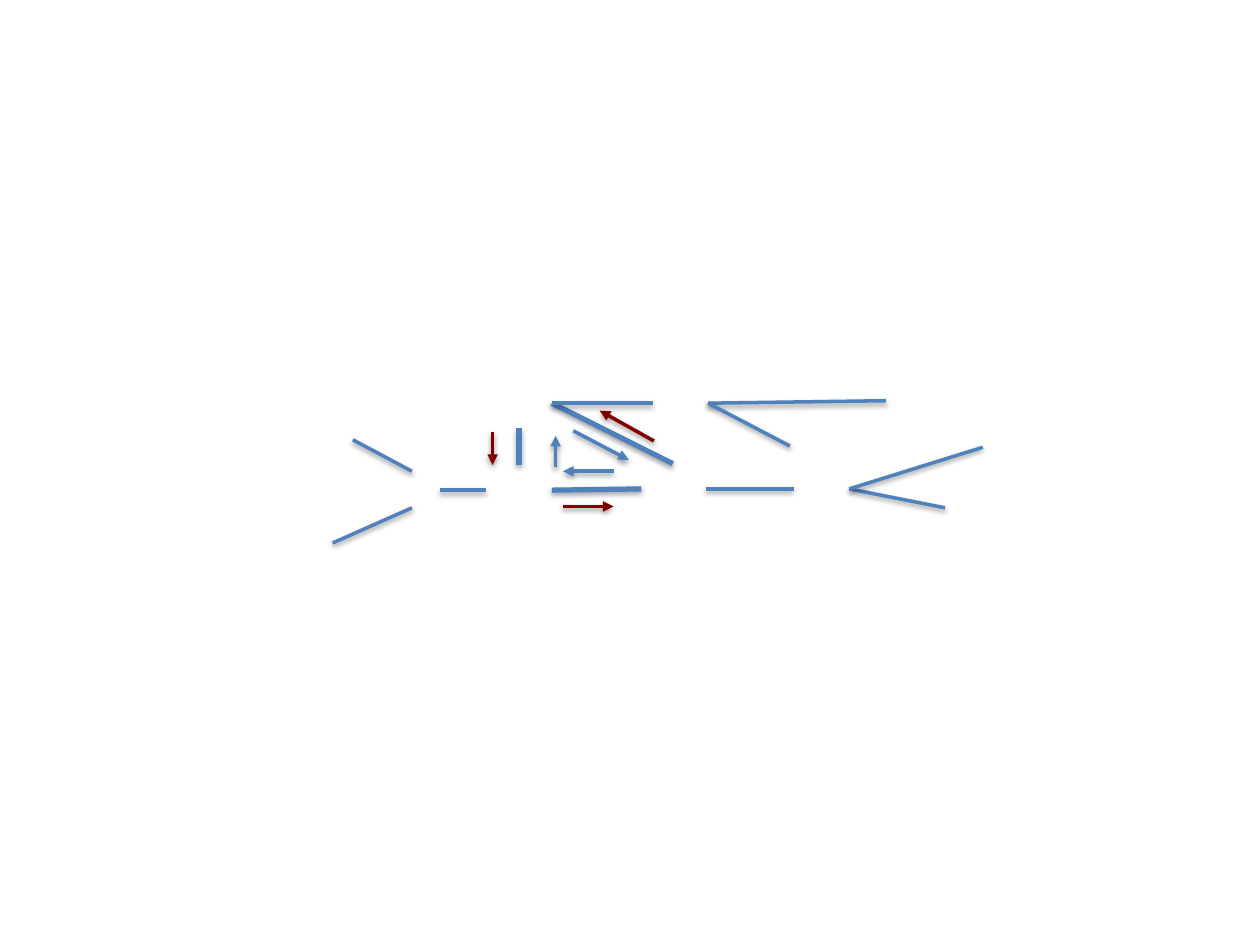
from lxml import etree
from pptx import Presentation
from pptx.dml.color import RGBColor
from pptx.enum import shapes
from pptx.oxml.ns import qn
from pptx.util import Pt

COLOURS = {"bond": "4F81BD", "reverse": "800000", "shadow": "000000"}


def add_shadow(line):
    """Give a connector a soft shadow just below it."""
    effects = etree.SubElement(line._element.spPr, qn("a:effectLst"))
    shadow = etree.SubElement(effects, qn("a:outerShdw"), blurRad=str(Pt(3.1)),
                              dist=str(Pt(1.6)), dir="5400000", rotWithShape="0")
    colour = etree.SubElement(shadow, qn("a:srgbClr"), val=COLOURS["shadow"])
    etree.SubElement(colour, qn("a:alpha"), val="38000")


def draw_lines(slide, origin, segments, colour="bond", width=2, arrow=False):
    """Draw segments (x1, y1, x2, y2), in points from the origin."""
    left, top = origin
    for x1, y1, x2, y2 in segments:
        line = slide.shapes.add_connector(
            shapes.MSO_CONNECTOR.STRAIGHT,
            Pt(left + x1), Pt(top + y1), Pt(left + x2), Pt(top + y2))
        line.line.color.rgb = RGBColor.from_string(COLOURS[colour])
        line.line.width = Pt(width)
        if arrow:
            etree.SubElement(line.line._get_or_add_ln(), qn("a:tailEnd"), type="triangle")
        add_shadow(line)


def lower_branch(slide, origin):
    """Draw the lower right stem and its fork."""
    fork = (82.3, 24.4)
    draw_lines(slide, origin, [(137, 35.2, *fork), (158.6, 0.6, *fork),
                               (50.6, 24.4, 0.2, 24.4)])


def left_branch(slide, origin):
    """Draw the two left arms and the stem that leads to the cycle."""
    draw_lines(slide, origin, [(11.6, 0.3, 45.4, 18.3), (0.1, 59.3, 45.4, 39.2),
                               (61.3, 29.1, 87.9, 29.1)])


def upper_branch(slide, origin):
    """Draw the upper right fork."""
    fork = (0.6, 1.4)
    draw_lines(slide, origin, [(*fork, 102.2, 0), (47.4, 25.9, *fork)])


def cycle(slide, origin):
    """Draw the central cycle with its inner and outer direction arrows."""
    corner = (34.4, 0.4)
    draw_lines(slide, origin, [(85.5, 49.4, 34.4, 50.1), (15.6, 14.8, 15.6, 35.7),
                               (103.5, 35, *corner)], width=3)
    draw_lines(slide, origin, [(*corner, 92, 0.4)])
    inner = [(46.6, 16.2, 78.3, 32.8), (69.6, 39.3, 40.8, 39.3), (36.5, 37.1, 36.5, 19.1)]
    outer = [(40.8, 59.4, 69.6, 59.4), (0.5, 17, 0.5, 35.7), (92.7, 22, 61.7, 4.7)]
    draw_lines(slide, origin, inner, arrow=True)
    draw_lines(slide, origin, outer, "reverse", arrow=True)


def main():
    """Build the slide and save it."""
    deck = Presentation()
    deck.slide_width, deck.slide_height = Pt(720), Pt(540)
    slide = deck.slides.add_slide(deck.slide_layouts[6])
    lower_branch(slide, (403, 255))
    left_branch(slide, (190, 251))
    upper_branch(slide, (404, 229))
    cycle(slide, (281, 230))
    deck.save("out.pptx")


if __name__ == "__main__":
    main()
